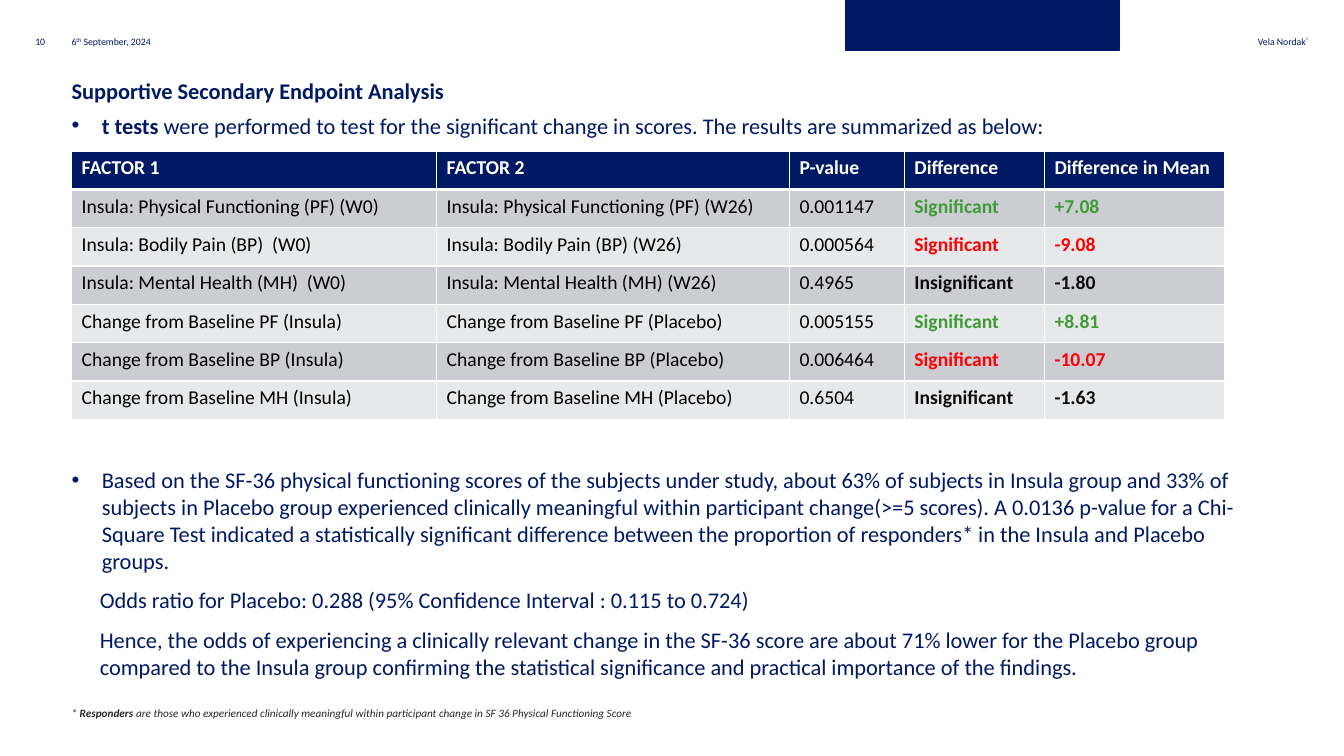
from pptx import Presentation
from pptx.dml.color import RGBColor
from pptx.enum.shapes import MSO_SHAPE
from pptx.enum.text import MSO_ANCHOR, PP_ALIGN
from pptx.oxml import parse_xml
from pptx.oxml.ns import nsdecls
from pptx.util import Inches, Pt

NAVY = RGBColor(0x00, 0x19, 0x65)
WHITE = RGBColor(0xFF, 0xFF, 0xFF)
BLACK = RGBColor(0x00, 0x00, 0x00)
CHARCOAL = RGBColor(0x0D, 0x0D, 0x0D)
NOTE_GREY = RGBColor(0x26, 0x26, 0x26)
GREEN = RGBColor(0x3F, 0x9C, 0x35)
RED = RGBColor(0xFF, 0x00, 0x00)
BAND_DARK = RGBColor(0xCC, 0xCC, 0xD3)
BAND_LIGHT = RGBColor(0xE7, 0xE8, 0xEA)

COLUMN_WIDTHS = [3.62, 3.5, 1.14, 1.39, 1.79]
ROW_HEIGHT = 0.38
HEADINGS = ["FACTOR 1", "FACTOR 2", "P-value", "Difference", "Difference in Mean"]
RESULTS = [
    ("Insula: Physical Functioning (PF) (W0)", "Insula: Physical Functioning (PF) (W26)",
     "0.001147", "Significant", "+7.08"),
    ("Insula: Bodily Pain (BP)  (W0)", "Insula: Bodily Pain (BP) (W26)",
     "0.000564", "Significant", "-9.08"),
    ("Insula: Mental Health (MH)  (W0)", "Insula: Mental Health (MH) (W26)",
     "0.4965", "Insignificant", "-1.80"),
    ("Change from Baseline PF (Insula)", "Change from Baseline PF (Placebo)",
     "0.005155", "Significant", "+8.81"),
    ("Change from Baseline BP (Insula)", "Change from Baseline BP (Placebo)",
     "0.006464", "Significant", "-10.07"),
    ("Change from Baseline MH (Insula)", "Change from Baseline MH (Placebo)",
     "0.6504", "Insignificant", "-1.63"),
]
BULLET_POINT = {"space_before": Pt(3), "space_after": Pt(6)}
AFTER_TABLE = {"space_before": Pt(228), "space_after": Pt(6)}
FINDINGS = [
    ([("t tests", {"bold": True}),
      (" were performed to test for the significant change in scores. "
       "The results are summarized as below:", {})], BULLET_POINT, 0.3, True),
    ([("Based on the SF-36 physical functioning scores of the subjects under study, "
       "about 63% of subjects in Insula group and 33% of subjects in Placebo group "
       "experienced clinically meaningful within participant change(>=5 scores). "
       "A 0.0136 p-value for a Chi-Square Test indicated a statistically significant "
       "difference between the proportion of responders* in the Insula and Placebo "
       "groups.", {})], AFTER_TABLE, 0.3, True),
    ([("Odds ratio for Placebo: 0.288 (95% Confidence Interval : 0.115 to 0.724)", {})],
     BULLET_POINT, 0.28, False),
    ([("Hence, the odds of experiencing a clinically relevant change in the SF-36 score "
       "are about 71% lower for the Placebo group compared to the Insula group "
       "confirming the statistical significance and practical importance of the "
       "findings.", {})], BULLET_POINT, 0.28, False),
]


def apply_format(target, values):
    for attribute, value in values.items():
        setattr(target, attribute, value)


def add_runs(paragraph, pieces, size, color):
    for text, style in pieces:
        run = paragraph.add_run()
        run.text = text
        values = {"name": "Calibri", "size": Pt(size), "bold": False, **style}
        raised = values.pop("raised", False)
        apply_format(run.font, values)
        run.font.color.rgb = color
        if raised:
            run._r.get_or_add_rPr().set("baseline", "30000")


def add_frame(slide, box, anchor=MSO_ANCHOR.TOP):
    frame = slide.shapes.add_textbox(*map(Inches, box)).text_frame
    apply_format(frame, {"word_wrap": True, "vertical_anchor": anchor, "margin_left": 0,
                         "margin_right": 0, "margin_top": 0, "margin_bottom": 0})
    return frame


def add_line(slide, box, pieces, size, color=NAVY, anchor=MSO_ANCHOR.TOP, **layout):
    paragraph = add_frame(slide, box, anchor).paragraphs[0]
    apply_format(paragraph, layout)
    add_runs(paragraph, pieces, size, color)


def indent(paragraph, depth, bulleted):
    properties = paragraph._p.get_or_add_pPr()
    properties.set("marL", str(Inches(depth)))
    properties.set("indent", str(Inches(-depth if bulleted else 0)))
    if bulleted:
        properties.append(parse_xml(f'<a:buFont {nsdecls("a")} typeface="Arial"/>'))
        properties.append(parse_xml(f'<a:buChar {nsdecls("a")} char="•"/>'))


def add_findings(slide):
    frame = add_frame(slide, (0.71, 1.11, 11.92, 5.92))
    for index, (pieces, spacing, depth, bulleted) in enumerate(FINDINGS):
        paragraph = frame.add_paragraph() if index else frame.paragraphs[0]
        apply_format(paragraph, spacing)
        indent(paragraph, depth, bulleted)
        add_runs(paragraph, pieces, 16, NAVY)


def fill_cell(cell, text, color, bold, background, bottom_border):
    borders = {"lnL": 1, "lnR": 1, "lnT": 1, "lnB": bottom_border}
    for side, width in borders.items():
        cell._tc.get_or_add_tcPr().append(parse_xml(
            f'<a:{side} {nsdecls("a")} w="{Pt(width)}"><a:solidFill>'
            f'<a:srgbClr val="{WHITE}"/></a:solidFill></a:{side}>'))
    cell.fill.solid()
    cell.fill.fore_color.rgb = background
    add_runs(cell.text_frame.paragraphs[0], [(text, {"bold": bold})], 14, color)


def verdict_color(verdict, change):
    if verdict == "Insignificant":
        return CHARCOAL
    return GREEN if change.startswith("+") else RED


def add_results_table(slide):
    row_count = len(RESULTS) + 1
    table = slide.shapes.add_table(
        row_count, len(HEADINGS), Inches(0.71), Inches(1.5),
        Inches(sum(COLUMN_WIDTHS)), Inches(ROW_HEIGHT * row_count)).table
    for column, width in zip(table.columns, COLUMN_WIDTHS):
        column.width = Inches(width)
    for column, heading in enumerate(HEADINGS):
        fill_cell(table.cell(0, column), heading, WHITE, True, NAVY, 3)
    for row, result in enumerate(RESULTS, 1):
        band = BAND_DARK if row % 2 else BAND_LIGHT
        for column, text in enumerate(result):
            is_verdict = column >= 3
            color = verdict_color(*result[3:]) if is_verdict else BLACK
            fill_cell(table.cell(row, column), text, color, is_verdict, band, 1)


def add_banner(slide):
    banner = slide.shapes.add_shape(
        MSO_SHAPE.RECTANGLE, *map(Inches, (8.39, -0.04, 2.71, 0.54)))
    banner.shadow.inherit = False
    banner.fill.solid()
    banner.fill.fore_color.rgb = NAVY
    banner.line.color.rgb = NAVY
    banner.line.width = Pt(1)


def main():
    presentation = Presentation()
    apply_format(presentation, {"slide_width": Inches(13.33), "slide_height": Inches(7.5)})
    slide = presentation.slides.add_slide(presentation.slide_layouts[6])
    add_line(slide, (12.27, 0.35, 0.71, 0.12),
             [("Vela Nordak", {}), ("®", {"raised": True})], 7, alignment=PP_ALIGN.RIGHT)
    add_findings(slide)
    add_line(slide, (0.35, 0.35, 0.35, 0.14), [("10", {})], 7)
    add_line(slide, (0.71, 6.79, 9.46, 0.35),
             [("* ", {"italic": True}),
              ("Responders ", {"italic": True, "bold": True}),
              ("are those who experienced clinically meaningful within participant "
               "change in SF 36 Physical Functioning Score", {"italic": True})],
             8, NOTE_GREY, MSO_ANCHOR.BOTTOM, **BULLET_POINT)
    add_line(slide, (0.71, 0.35, 2.1, 0.14),
             [("6", {}), ("th", {"raised": True}), (" September, 2024", {})], 7)
    add_results_table(slide)
    add_banner(slide)
    add_line(slide, (0.71, 0.71, 5.53, 0.3),
             [("Supportive Secondary Endpoint Analysis", {"bold": True})], 16,
             line_spacing=1.2)
    presentation.save("out.pptx")


if __name__ == "__main__":
    main()
